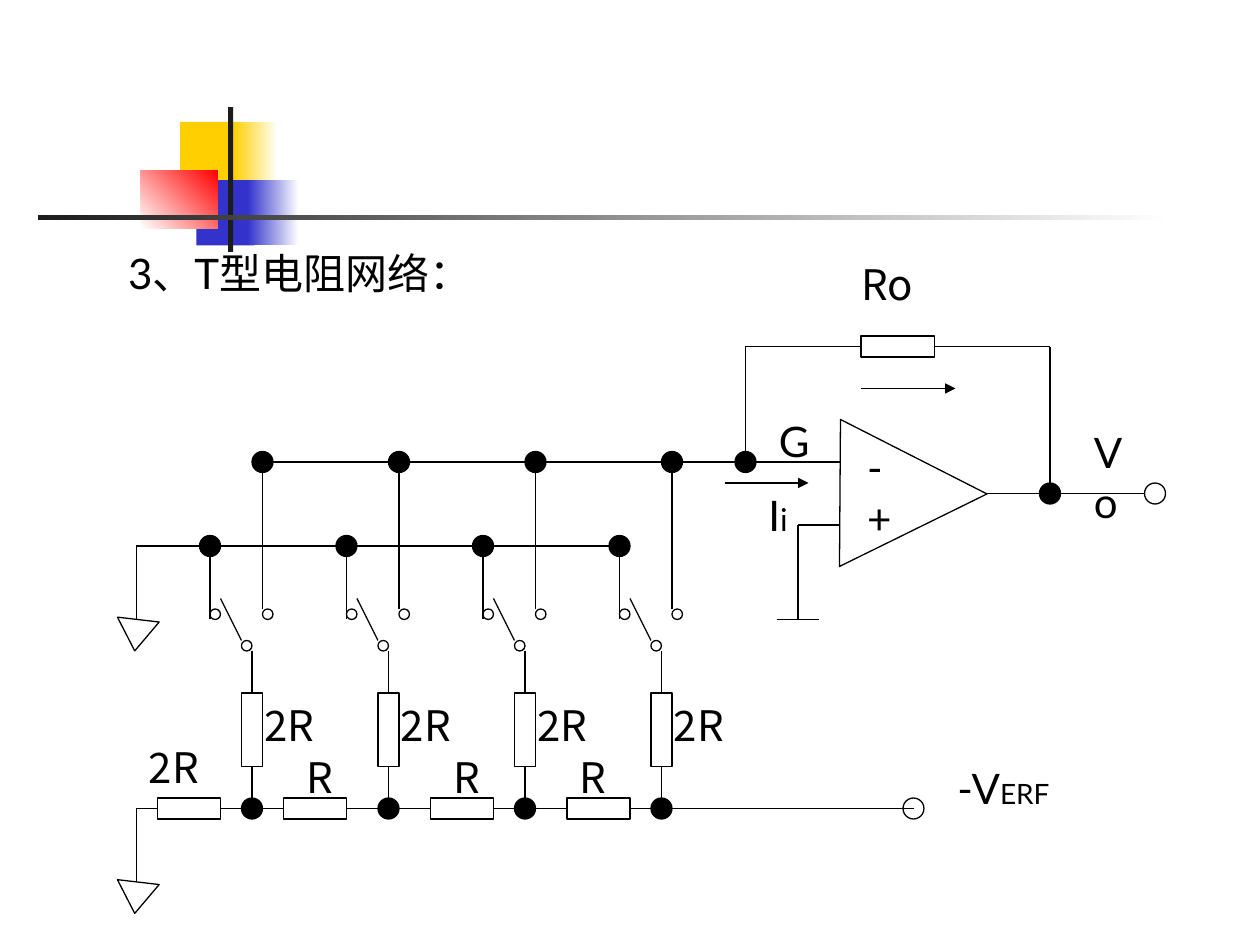
from lxml import etree
from pptx import Presentation
from pptx.dml.color import RGBColor
from pptx.enum.shapes import MSO_CONNECTOR, MSO_SHAPE
from pptx.enum.text import MSO_ANCHOR, MSO_AUTO_SIZE, PP_ALIGN
from pptx.oxml.ns import qn
from pptx.util import Cm, Pt

RECT, OVAL = MSO_SHAPE.RECTANGLE, MSO_SHAPE.OVAL
WEDGE = MSO_SHAPE.ISOSCELES_TRIANGLE
STRAIGHT = MSO_CONNECTOR.STRAIGHT
TOP, LEFT, FIXED = MSO_ANCHOR.TOP, PP_ALIGN.LEFT, MSO_AUTO_SIZE.NONE

COLOR = {"ink": "000000", "paper": "FFFFFF", "gold": "FFCF01",
         "blue": "3333CC", "red": "FF0000", "dark": "1C1C1C"}
LATIN, CJK = "Lato", "Noto Sans CJK SC"
CELL = 2.54 / 12  # the circuit sits on a grid of this many cm

# Corner ornament in cm: left, top, width, height, colours, angle
ORNAMENT = [
    (3.63, 2.46, 1.22, 1.32, ["gold"], 0),
    (4.7, 2.46, 0.91, 1.32, ["gold", "paper"], 0),
    (3.96, 3.63, 1.17, 1.32, ["blue"], 0),
    (5, 3.63, 1.02, 1.32, ["blue", "paper"], 0),
    (2.84, 3.43, 1.55, 1.17, ["paper", "red"], 45),
    (4.6, 2.16, 0.1, 2.92, ["dark"], 0),
    (0.76, 4.34, 22.86, 0.1, ["dark", "paper"], 0),
]

# Circuit in grid cells. Wires: x1, y1, x2, y2
TITLE = ("3、T型电阻网络：", (11, 23, 97, 6))
WIRES = [
    (80, 44, 25, 44), (71, 44, 71, 33), (71, 33, 100, 33),
    (100, 33, 100, 47), (94, 47, 109, 47),
    (80, 50, 76, 50), (76, 50, 76, 59), (74, 59, 78, 59),
    (13, 52, 59, 52), (13, 52, 13, 59),
    (13, 77, 87, 77), (13, 77, 13, 84),
]
ARROWS = [(69, 46, 77, 46), (82, 37, 91, 37)]
BOXES = [(82, 32, 7, 2)] + [(x, 76, w, 2) for x, w in
                            ((15, 6), (27, 6), (41, 6), (54, 6))]
DOTS = [(99, 46), (70, 43)]
RINGS = [(109, 46), (86, 76)]
GROUNDS = [(11, 59, 4, 3), (11, 84, 4, 3)]
AMP = (80, 40, 14, 14)
SIGNS = (["-", "+"], (81.4, 41.5, 6, 10.8))

# One switched branch, with x measured from its own axis
AXES = [24 + 13 * i for i in range(4)]
BRANCH = {
    "wires": [(0, 62, 0, 77), (-1, 61, -3, 57),
              (-4, 59, -4, 52), (1, 58, 1, 44)],
    "box": (-1, 66, 2, 7),
    "rings": [(-1, 61), (-4, 58), (1, 58)],
    "dots": [(-5, 51), (0, 43), (-1, 76)],
    "label": (0, 66, 8, 6),
}

# Labels: runs of text and size, place, font, space before
LABELS = [
    ([(" Ro", 24)], (80, 24, 11, 6), CJK, 15),
    ([("Vo", 24)], (103, 40, 7, 10.8), LATIN, 15),
    ([("G", 24)], (73, 39, 5, 6), LATIN, 15),
    ([("I", 24), ("i", 18)], (72, 46, 7, 6), LATIN, 11.2),
    ([("-V", 24), ("ERF", 16)], (90, 72, 13, 6), LATIN, 10),
    ([("2R", 24)], (13, 70, 8, 6), CJK, 15),
] + [([("R", 24)], (x, 71, 8, 6), CJK, 15) for x in (28, 42, 54)]


def rgb(name):
    return RGBColor.from_string(COLOR[name])


def grid(place):
    return [Cm(n * CELL) for n in place]


def shift(place, x):
    return (place[0] + x, *place[1:])


def style(font, name, size=None):
    font.name = name
    font.color.rgb = rgb("ink")
    if size:
        font.size = Pt(size)


def shape(kind, place, fill=None, turn=0):
    item = slide.shapes.add_shape(kind, *grid(place))
    item.shadow.inherit = False
    item.rotation = turn
    if fill:
        item.fill.solid()
        item.fill.fore_color.rgb = rgb(fill)
    else:
        item.fill.background()
    item.line.color.rgb = rgb("ink")
    item.line.width = Pt(0.75)


def wire(ends, arrow=False):
    item = slide.shapes.add_connector(STRAIGHT, *grid(ends))
    item.line.color.rgb = rgb("ink")
    item.line.width = Pt(0.75)
    props = item._element.spPr
    if arrow:
        etree.SubElement(props.find(qn("a:ln")), qn("a:tailEnd"), type="triangle")
    etree.SubElement(props, qn("a:effectLst"))


def text(lines, place, name, gap=0):
    frame = slide.shapes.add_textbox(*grid(place)).text_frame
    frame.word_wrap = True
    for i, runs in enumerate(lines):
        para = frame.add_paragraph() if i else frame.paragraphs[0]
        para.space_before = Pt(gap)
        sizes = {size for _, size in runs}
        style(para.font, name, sizes.pop() if len(sizes) == 1 else None)
        for part, size in runs:
            run = para.add_run()
            run.text = part
            if sizes:
                run.font.size = Pt(size)


deck = Presentation()
deck.slide_width, deck.slide_height = Cm(25.4), Cm(19.05)
slide = deck.slides.add_slide(deck.slide_layouts[5])

# Ornament
for *place, tones, angle in ORNAMENT:
    block = slide.shapes.add_shape(RECT, *[Cm(n) for n in place])
    block.shadow.inherit = False
    block.line.fill.background()
    if len(tones) == 1:
        block.fill.solid()
        block.fill.fore_color.rgb = rgb(tones[0])
    else:
        block.fill.gradient()
        block.fill.gradient_angle = angle
        for stop, tone, pos in zip(block.fill.gradient_stops, tones, (0, 1)):
            stop.color.rgb = rgb(tone)
            stop.position = pos

# Title
title = slide.shapes.title
title.left, title.top, title.width, title.height = grid(TITLE[1])
frame = title.text_frame
frame.text = TITLE[0]
frame.vertical_anchor, frame.auto_size = TOP, FIXED
frame.paragraphs[0].alignment = LEFT
style(frame.paragraphs[0].font, LATIN, 24)

# Main wiring, amplifier and grounds
for ends in WIRES:
    wire(ends)
for ends in ARROWS:
    wire(ends, arrow=True)
shape(WEDGE, AMP, turn=90.4)
text([[(sign, 24)] for sign in SIGNS[0]], SIGNS[1], LATIN)
for place in GROUNDS:
    shape(WEDGE, place, turn=186.6)
for place in BOXES:
    shape(RECT, place, "paper")
for spot in DOTS:
    shape(OVAL, (*spot, 2, 2), "ink")
for spot in RINGS:
    shape(OVAL, (*spot, 2, 2))

# Switched branches
for x in AXES:
    for x1, y1, x2, y2 in BRANCH["wires"]:
        wire((x + x1, y1, x + x2, y2))
    shape(RECT, shift(BRANCH["box"], x), "paper")
    for spot in BRANCH["rings"]:
        shape(OVAL, (*shift(spot, x), 1, 1))
    for spot in BRANCH["dots"]:
        shape(OVAL, (*shift(spot, x), 2, 2), "ink")
    text([[("2R", 24)]], shift(BRANCH["label"], x), CJK, 15)

# Labels
for runs, place, name, gap in LABELS:
    text([runs], place, name, gap)

deck.save("out.pptx")
